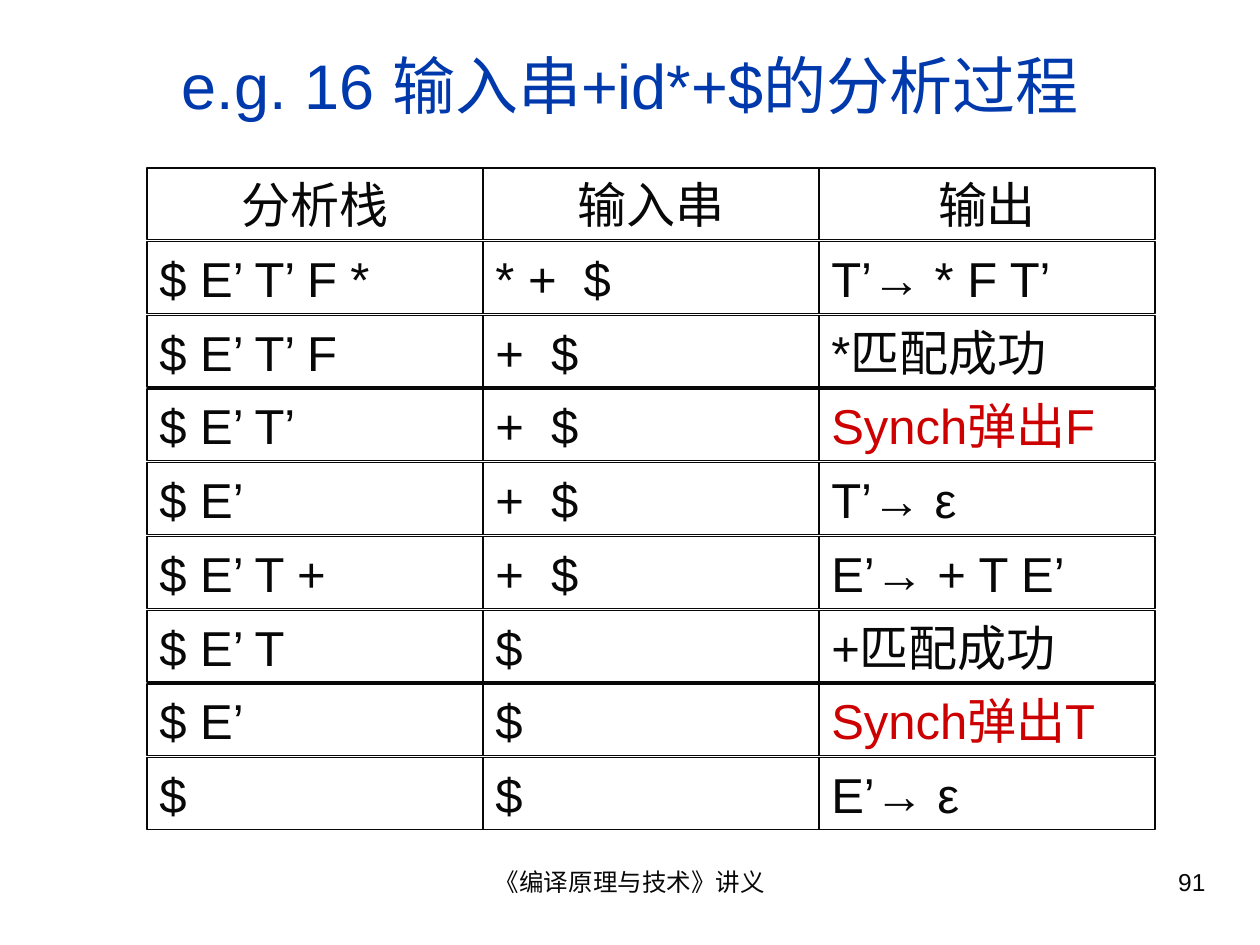
import pptx
import pptx.dml.color
import pptx.enum.shapes
import pptx.enum.text
import pptx.util

COLUMNS, ROWS = 60, 45
SLIDE_WIDTH, SLIDE_HEIGHT = pptx.util.Inches(10), pptx.util.Inches(7.5)
INK, TITLE_BLUE, RECOVERY_RED = "080808", "0039AC", "CC0000"
ALIGN = pptx.enum.text.PP_ALIGN
ANCHOR = pptx.enum.text.MSO_ANCHOR

HEADINGS = ("分析栈", "输入串", "输出")
STEPS = (
    ("$ E’ T’ F *", "* +  $", "T’→ * F T’"),
    ("$ E’ T’ F", "+  $", "*匹配成功"),
    ("$ E’ T’", "+  $", "Synch弹出F"),
    ("$ E’", "+  $", "T’→ ε"),
    ("$ E’ T +", "+  $", "E’→ + T E’"),
    ("$ E’ T", "$", "+匹配成功"),
    ("$ E’", "$", "Synch弹出T"),
    ("$", "$", "E’→ ε"),
)


def color(value):
    return pptx.dml.color.RGBColor.from_string(value)


def grid(column, row, width, height):
    across, down = SLIDE_WIDTH / COLUMNS, SLIDE_HEIGHT / ROWS
    return (round(column * across), round(row * down),
            round(width * across), round(height * down))


def write(frame, text, size, ink, alignment, anchor):
    frame.word_wrap = True
    frame.vertical_anchor = anchor
    paragraph = frame.paragraphs[0]
    paragraph.text = text
    paragraph.alignment = alignment
    paragraph.font.name = "Arial"
    paragraph.font.size = pptx.util.Pt(size)
    paragraph.font.color.rgb = color(ink)


def add_label(slide, area, text, size, ink, alignment, anchor=ANCHOR.TOP):
    label = slide.shapes.add_textbox(*grid(*area))
    write(label.text_frame, text, size, ink, alignment, anchor)


def add_cell(line, area, text, ink, alignment):
    cell = line.shapes.add_shape(
        pptx.enum.shapes.MSO_SHAPE.RECTANGLE, *grid(*area))
    cell.shadow.inherit = False
    cell.fill.background()
    cell.line.color.rgb = color(INK)
    cell.line.width = pptx.util.Pt(0.75)
    write(cell.text_frame, text, 28, ink, alignment, ANCHOR.BOTTOM)


def add_trace(slide, left, top, width, height, pitch):
    for row, texts in enumerate((HEADINGS,) + STEPS):
        line = slide.shapes.add_group_shape()
        alignment = ALIGN.LEFT if row else ALIGN.CENTER
        for column, text in enumerate(texts):
            ink = RECOVERY_RED if text.startswith("Synch") else INK
            area = (left + column * width, top + row * pitch, width, height)
            add_cell(line, area, text, ink, alignment)


def main():
    deck = pptx.Presentation()
    deck.slide_width, deck.slide_height = SLIDE_WIDTH, SLIDE_HEIGHT
    slide = deck.slides.add_slide(deck.slide_layouts[6])
    add_label(slide, (20.5, 41, 19, 3.1), "《编译原理与技术》讲义", 14, INK, ALIGN.CENTER)
    add_label(slide, (43, 41, 15, 3.1), "91", 14, INK, ALIGN.RIGHT)
    add_label(slide, (2, 1.5, 56, 5), "e.g. 16 输入串+id*+$的分析过程", 36,
              TITLE_BLUE, ALIGN.CENTER, ANCHOR.MIDDLE)
    add_trace(slide, left=7, top=8, width=16, height=3.42, pitch=3.51)
    deck.save("out.pptx")


if __name__ == "__main__":
    main()
